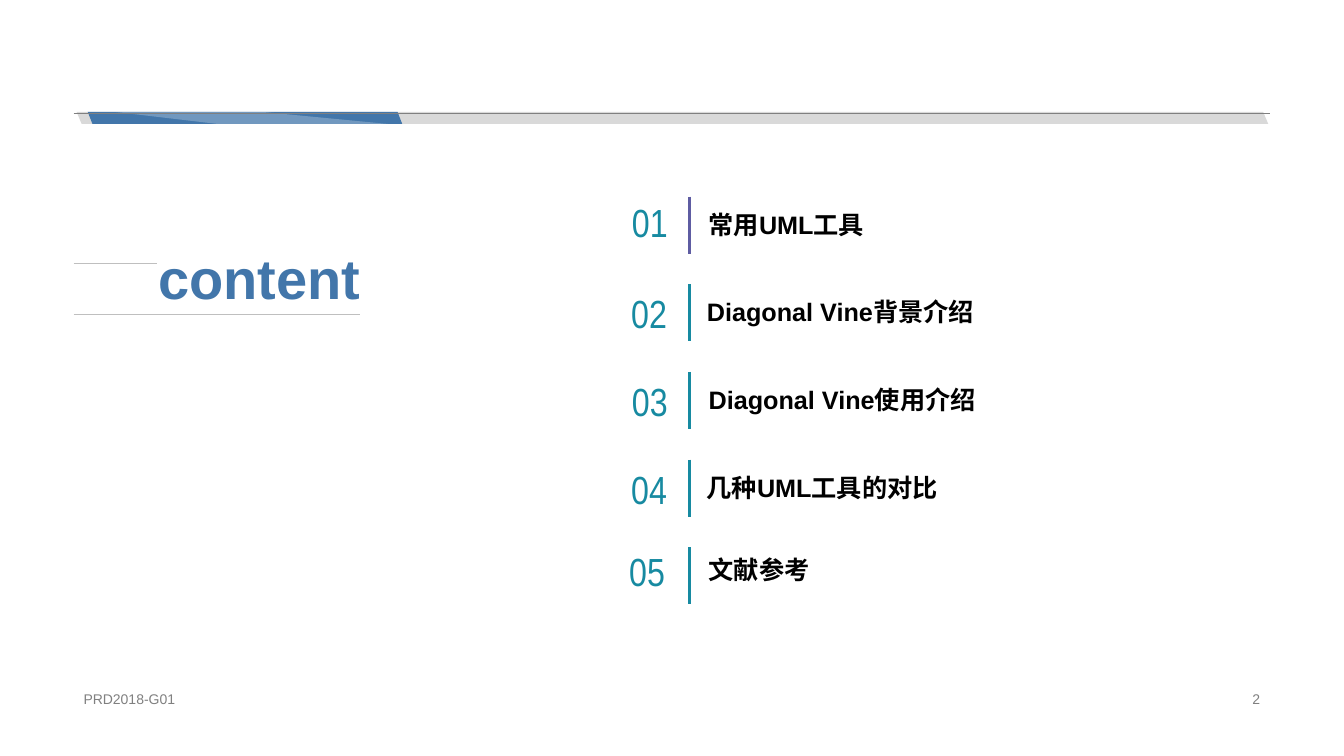
from collections import namedtuple

from lxml import etree
from pptx import Presentation, util as u
from pptx.dml.color import RGBColor
from pptx.enum import shapes, text
from pptx.oxml import ns

BLUE = RGBColor(0x42, 0x76, 0xAA)
TEAL = RGBColor(0x17, 0x8A, 0xA1)
PURPLE = RGBColor(0x5E, 0x5C, 0xA2)
BLACK = RGBColor(0x00, 0x00, 0x00)
WHITE = RGBColor(0xFF, 0xFF, 0xFF)
GRAY = RGBColor(0x80, 0x80, 0x80)
SILVER = RGBColor(0xBF, 0xBF, 0xBF)
BAND_GRAY = RGBColor(0xD9, 0xD9, 0xD9)

LEFT, CENTER, RIGHT = text.PP_ALIGN.LEFT, text.PP_ALIGN.CENTER, text.PP_ALIGN.RIGHT
MIDDLE, BOTTOM = text.MSO_ANCHOR.MIDDLE, text.MSO_ANCHOR.BOTTOM

BAND_TOP, BAND_HEIGHT = 14.8, 1.6
MARGIN_LEFT, MARGIN_RIGHT = 5.48, 94.5
DIVIDER_LEFT, DIVIDER_TOP, DIVIDER_HEIGHT, PITCH = 51.31, 26, 7.55, 11.6

Entry = namedtuple("Entry", "number title color number_left number_top left top")
ENTRIES = [
    Entry("01", "常用UML工具", PURPLE, 46.3, 26, 51.99, 27.3),
    Entry("02", "Diagonal Vine背景介绍", TEAL, 46.25, 38, 51.86, 38.8),
    Entry("03", "Diagonal Vine使用介绍", TEAL, 46.3, 49.65, 51.99, 50.5),
    Entry("04", "几种UML工具的对比", TEAL, 46.25, 61.33, 51.84, 62.13),
    Entry("05", "文献参考", TEAL, 46.1, 72.2, 51.99, 72.93),
]


class ContentSlide:
    body_font = "Arial"
    number_font = "Arial Narrow"

    def __init__(self, presentation):
        self.width = presentation.slide_width
        self.height = presentation.slide_height
        self.slide = presentation.slides.add_slide(presentation.slide_layouts[6])

    def x(self, percent):
        return round(self.width * percent / 100)

    def y(self, percent):
        return round(self.height * percent / 100)

    def paint(self, shape, color, opacity=100):
        shape.shadow.inherit = False
        shape.fill.solid()
        shape.fill.fore_color.rgb = color
        shape.line.fill.background()
        if opacity < 100:
            solid = shape._element.spPr.find(ns.qn("a:solidFill"))
            alpha = etree.SubElement(solid[0], ns.qn("a:alpha"))
            alpha.set("val", str(opacity * 1000))

    def band(self, left, width, slant, color):
        shape = self.slide.shapes.add_shape(
            shapes.MSO_SHAPE.PARALLELOGRAM,
            self.x(left), self.y(BAND_TOP), self.x(width), self.y(BAND_HEIGHT))
        shape.adjustments[0] = slant
        shape._element.spPr.find(ns.qn("a:xfrm")).set("flipH", "1")
        self.paint(shape, color)

    def polygon(self, points, color, opacity):
        corners = [(self.x(left), self.y(top)) for left, top in points]
        builder = self.slide.shapes.build_freeform(*corners[0])
        builder.add_line_segments(corners[1:], close=True)
        self.paint(builder.convert_to_shape(), color, opacity)

    def rule(self, left, top, right, bottom, color, weight):
        connector = self.slide.shapes.add_connector(
            shapes.MSO_CONNECTOR.STRAIGHT,
            self.x(left), self.y(top), self.x(right), self.y(bottom))
        connector.line.color.rgb = color
        connector.line.width = u.Pt(weight)
        etree.SubElement(connector._element.spPr, ns.qn("a:effectLst"))

    def label(self, words, left, top, width, height, size, color, font=body_font,
              bold=False, align=LEFT, anchor=MIDDLE, wrap=True, spacing=None,
              inset=0.1):
        box = self.slide.shapes.add_textbox(
            self.x(left), self.y(top), self.x(width), self.y(height))
        frame = box.text_frame
        frame.word_wrap = wrap
        frame.vertical_anchor = anchor
        frame.margin_left = frame.margin_right = u.Inches(inset)
        frame.margin_top = frame.margin_bottom = u.Inches(inset / 2)
        paragraph = frame.paragraphs[0]
        paragraph.text = words
        paragraph.alignment = align
        paragraph.line_spacing = spacing
        paragraph.font.name = font
        paragraph.font.size = u.Pt(size)
        paragraph.font.bold = bold
        paragraph.font.color.rgb = color

    def header(self):
        band_bottom = BAND_TOP + BAND_HEIGHT
        self.band(5.7, 88.67, 0.424, BAND_GRAY)
        self.band(6.53, 23.4, 0.388, BLUE)
        self.polygon([(28.88, band_bottom), (19.5, BAND_TOP),
                      (8.55, BAND_TOP), (16.2, band_bottom)], WHITE, 25)
        self.rule(MARGIN_LEFT, 14.93, MARGIN_RIGHT, 14.93, GRAY, 0.25)

    def title(self):
        for right, top in ((11.7, 34.8), (26.75, 41.6)):
            self.rule(MARGIN_LEFT, top, right, top, SILVER, 0.5)
        self.label("content", 11.04, 32.4, 16.58, 9.6, 40, BLUE,
                   bold=True, wrap=False, spacing=0.9)

    def entries(self):
        for row, entry in enumerate(ENTRIES):
            divider_top = DIVIDER_TOP + row * PITCH
            self.label(entry.number, entry.number_left, entry.number_top, 4.1, 6.67,
                       28, TEAL, font=self.number_font, align=CENTER, wrap=False,
                       inset=0)
            self.rule(DIVIDER_LEFT, divider_top, DIVIDER_LEFT,
                      divider_top + DIVIDER_HEIGHT, entry.color, 2.25)
            self.label(entry.title, entry.left, entry.top, 29.63, 5.07, 18, BLACK,
                       bold=True, anchor=BOTTOM, spacing=0.9)

    def footer(self):
        self.label("PRD2018-G01", MARGIN_LEFT, 90.93, 34, 3.07, 10, GRAY)
        self.label("2", 70.65, 90.93, 23.85, 3.07, 10, GRAY, align=RIGHT)


def main():
    presentation = Presentation()
    presentation.slide_width = u.Inches(13.33)
    presentation.slide_height = u.Inches(7.5)
    content = ContentSlide(presentation)
    content.header()
    content.title()
    content.entries()
    content.footer()
    presentation.save("out.pptx")


if __name__ == "__main__":
    main()
